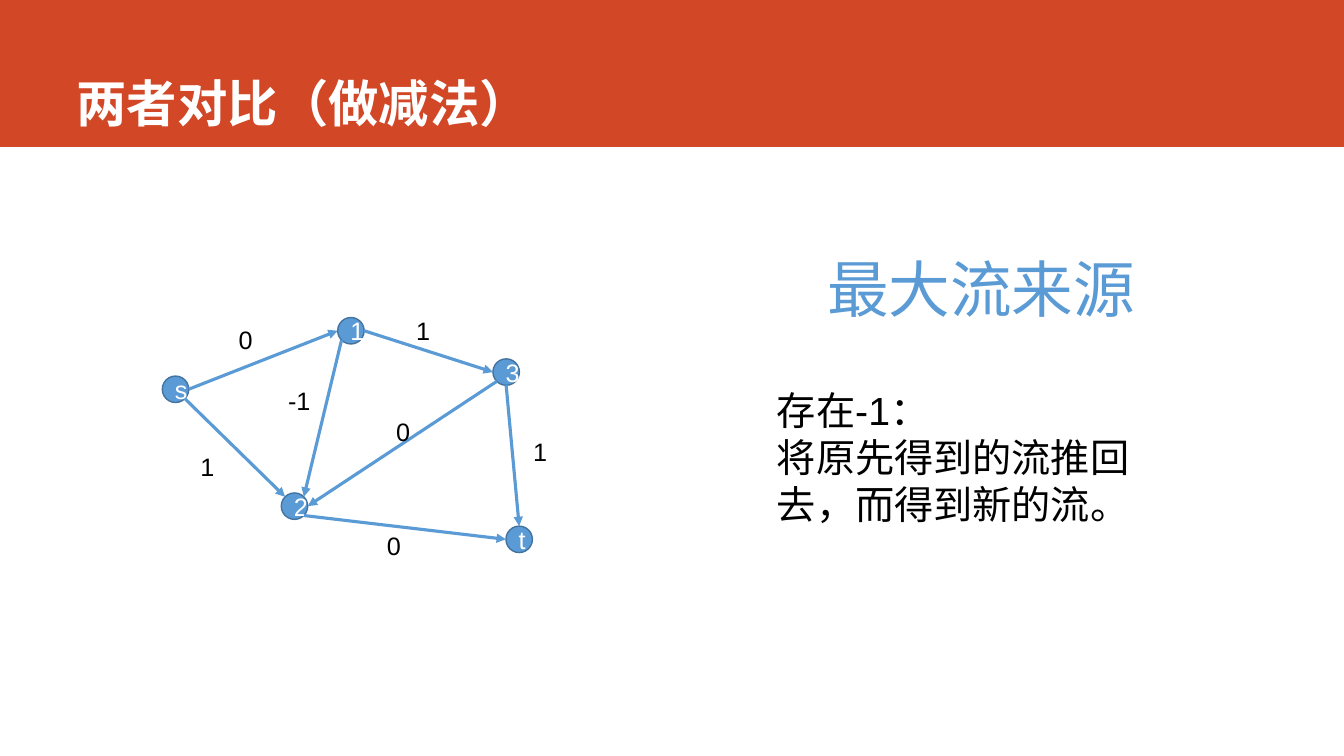
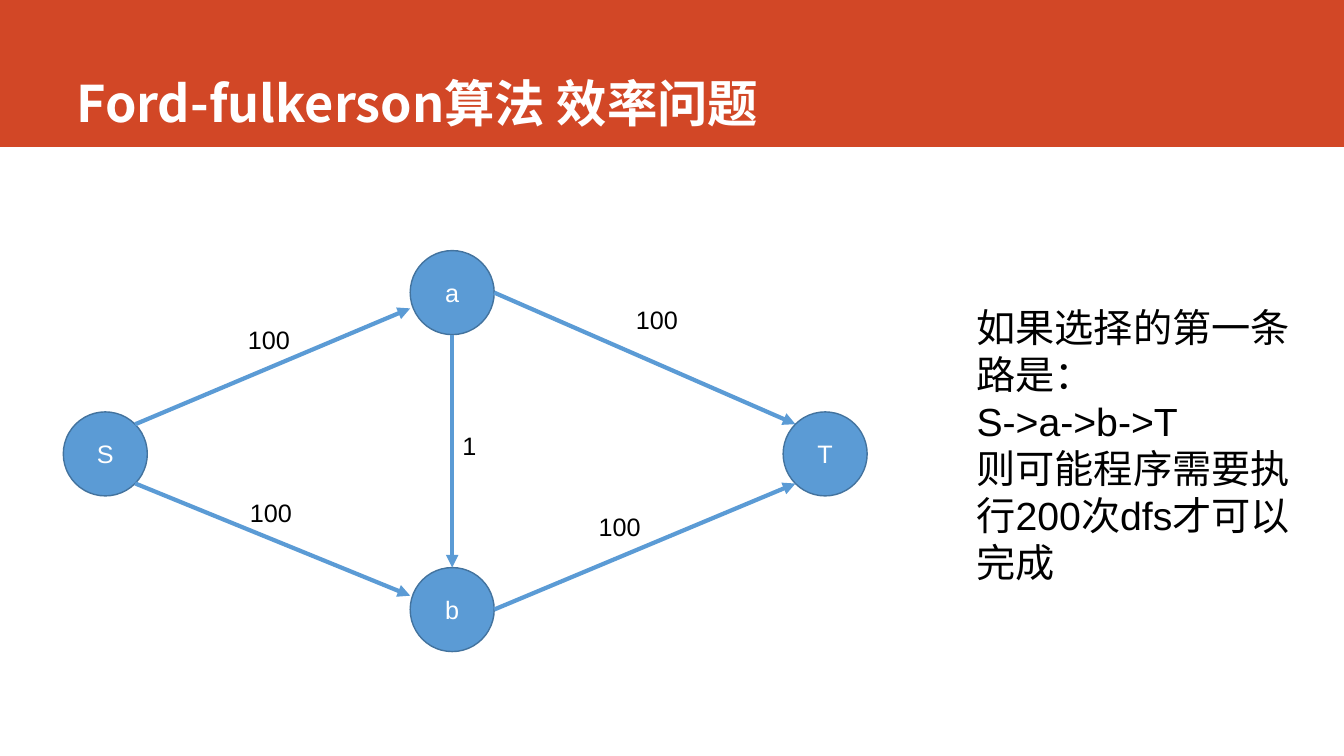
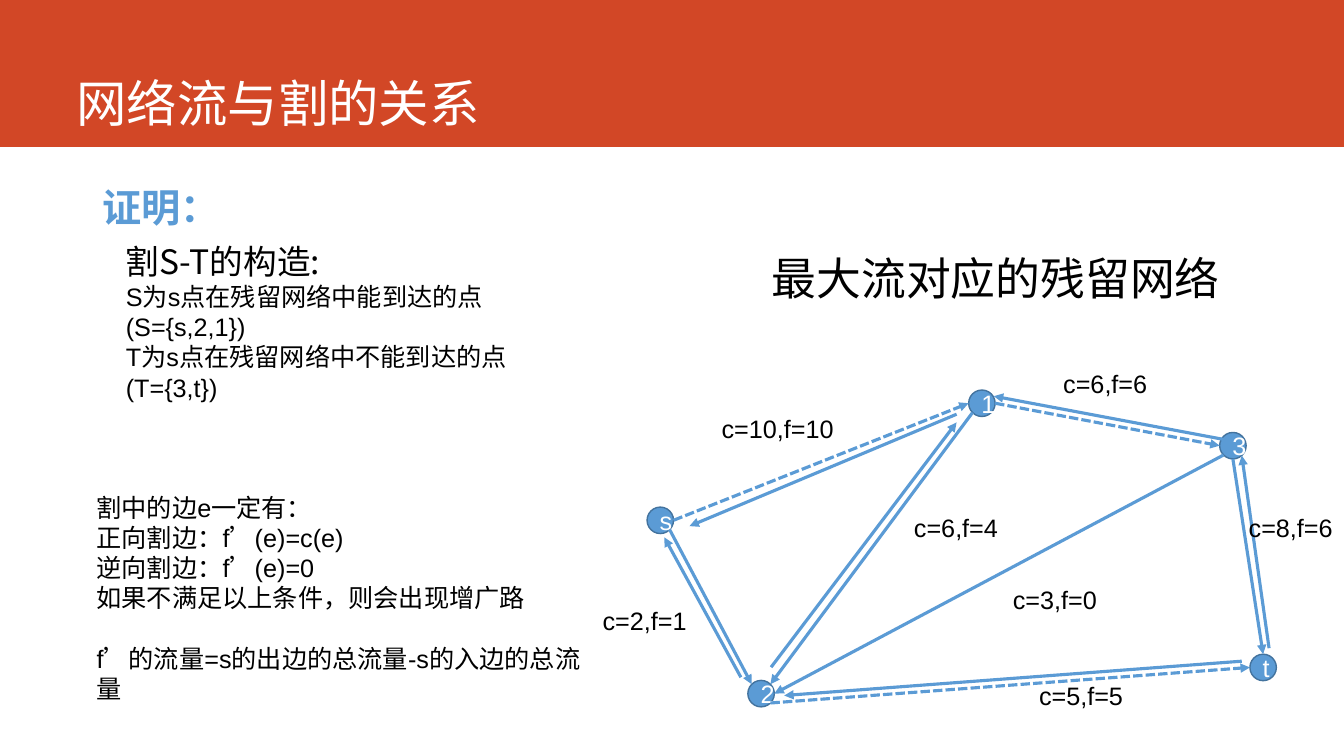
"""Build three slides on maximum flow: path comparison, efficiency and cuts."""
from math import cos, radians, sin

from lxml import etree
from pptx import Presentation
from pptx.dml.color import RGBColor
from pptx.enum.dml import MSO_LINE
from pptx.enum.shapes import MSO_CONNECTOR, MSO_SHAPE
from pptx.enum.text import MSO_ANCHOR, MSO_AUTO_SIZE, PP_ALIGN
from pptx.oxml.ns import qn
from pptx.util import Pt

LEFT, CENTER = PP_ALIGN.LEFT, PP_ALIGN.CENTER
BOTTOM, MIDDLE = MSO_ANCHOR.BOTTOM, MSO_ANCHOR.MIDDLE
NO_FIT, GROW = MSO_AUTO_SIZE.NONE, MSO_AUTO_SIZE.SHAPE_TO_FIT_TEXT
STRAIGHT = MSO_CONNECTOR.STRAIGHT
RECTANGLE, OVAL = MSO_SHAPE.RECTANGLE, MSO_SHAPE.OVAL
DASH = MSO_LINE.SQUARE_DOT

COLORS = {
    "band": "D24726",
    "node": "5B9BD5",
    "outline": "43739E",
    "light": "FFFFFF",
    "text": "000000",
}
LATIN_FONT, CHINESE_FONT = "Arial", "Noto Sans CJK SC"
ANGLES = {"E": 0, "SE": 45, "S": 90, "SW": 135, "W": 180, "NW": 225, "N": 270, "NE": 315}
LABEL_HEIGHT = 29


def write(frame, text, size=18, color="text", font=LATIN_FONT, bold=False, align=LEFT, before=0):
    para = frame.add_paragraph() if frame.text else frame.paragraphs[0]
    para.alignment = align
    para.space_before = Pt(before)
    span = para.add_run()
    span.text = text
    span.font.size = Pt(size)
    span.font.bold = bold
    span.font.color.rgb = RGBColor.from_string(COLORS[color])
    span.font.name = font
    etree.SubElement(span.font._element, qn("a:ea"), typeface=CHINESE_FONT)


def draw_arrow(page, start, end, width, dashed=False):
    arrow = page.shapes.add_connector(STRAIGHT, *[Pt(value) for value in (*start, *end)])
    arrow.line.color.rgb = RGBColor.from_string(COLORS["node"])
    arrow.line.width = Pt(width)
    if dashed:
        arrow.line.dash_style = DASH
    etree.SubElement(arrow.line._get_or_add_ln(), qn("a:tailEnd"), type="triangle")
    etree.SubElement(arrow.element.spPr, qn("a:effectLst"))


FLOW_EDGES = [
    ("s", "E", "1", "W"),
    ("s", "SE", "2", "NW"),
    ("2", "SE", "t", "W"),
    ("1", "E", "3", "W"),
    ("3", "S", "t", "N"),
    ("1", "SW", "2", "NE"),
    ("3", "SW", "2", "E"),
]

slides = [
    {
        "title": "两者对比（做减法）",
        "bold": True,
        "diameter": 18.9,
        "line": 2.25,
        "nodes": {"s": (115.9, 268.6), "1": (241.2, 226.8), "2": (200.9, 352.1),
                  "t": (361.4, 375.8), "3": (352.1, 256.3)},
        "edges": FLOW_EDGES,
        "dashed": [],
        "arrows": [],
        "label_width": 75,
        "labels": [("0", 163.4, 228.2), ("1", 290.2, 221.8), ("-1", 198.7, 271.4),
                   ("0", 275.8, 293.8), ("1", 373.7, 308.2), ("0", 269.3, 375.1),
                   ("1", 136.1, 319)],
        "notes": [
            ((535, 175.7, 331.9, 60.5),
             [("最大流来源", {"size": 44, "color": "node", "align": CENTER})]),
            ((547.9, 272.2, 290.9, 108.7),
             [("存在-1：", {"size": 28}),
              ("将原先得到的流推回去，而得到新的流。", {"size": 28})]),
        ],
    },
    {
        "title": "Ford-fulkerson算法 效率问题",
        "bold": True,
        "diameter": 60,
        "line": 3,
        "nodes": {"S": (45.2, 294.2), "T": (559.4, 294.2), "a": (293, 179), "b": (293, 405.4)},
        "edges": [("a", "E", "T", "NW"), ("a", "S", "b", "N"), ("b", "E", "T", "SW")],
        "dashed": [],
        "arrows": [((96.5, 303.1), (293, 220.3)), ((96.5, 345.3), (293, 425.5))],
        "label_width": 64,
        "labels": [("100", 169.9, 228.2), ("100", 420.5, 361.4), ("100", 171.4, 351.4),
                   ("100", 447.1, 213.8), ("1", 323.3, 303.8)],
        "notes": [
            ((690.5, 213.1, 256.3, 211),
             [("如果选择的第一条路是：", {"size": 28}),
              ("S->a->b->T", {"size": 28}),
              ("则可能程序需要执行200次dfs才可以完成", {"size": 28})]),
        ],
    },
    {
        "title": "网络流与割的关系",
        "bold": False,
        "diameter": 18.9,
        "line": 2.25,
        "nodes": {"s": (462.2, 362.2), "1": (691.9, 278.6), "2": (534.2, 486),
                  "t": (892.8, 467.3), "3": (871.2, 308.9)},
        "edges": FLOW_EDGES,
        "dashed": ["s1", "2t", "13"],
        "arrows": [
            ((683.3, 295.9), (492.5, 375.8)),
            ((550.8, 476.6), (683.3, 301.7)),
            ((529.2, 483.8), (474.5, 383.8)),
            ((906.5, 463), (887, 325.4)),
            ((874.1, 313.9), (709.9, 283)),
            ((887, 472.3), (560.2, 496.8)),
        ],
        "label_width": 75,
        "labels": [("c=10,f=10", 508.3, 291.6), ("c=6,f=6", 752.4, 259.2),
                   ("c=6,f=4", 645.8, 362.2), ("c=3,f=0", 716.4, 414),
                   ("c=8,f=6", 884.9, 362.2), ("c=5,f=5", 735.1, 482.4),
                   ("c=2,f=1", 423.4, 429.1)],
        "notes": [
            ((66.2, 127.4, 100, 41),
             [("证明：", {"size": 28, "color": "node", "font": CHINESE_FONT, "bold": True})]),
            ((517, 175.7, 388.8, 46),
             [("最大流对应的残留网络", {"size": 32, "align": CENTER})]),
            ((82.8, 168.5, 426.2, 123.8),
             [("割S-T的构造:", {"size": 24, "font": CHINESE_FONT}),
              ("S为s点在残留网络中能到达的点", {}),
              ("(S={s,2,1})", {}),
              ("T为s点在残留网络中不能到达的点", {}),
              ("(T={3,t})", {})]),
            ((61.9, 347.8, 370.1, 138.2),
             [("割中的边e一定有：", {}),
              ("正向割边：f’(e)=c(e)", {}),
              ("逆向割边：f’(e)=0", {}),
              ("如果不满足以上条件，则会出现增广路", {}),
              ("f’的流量=s的出边的总流量-s的入边的总流量", {"before": 21.5})]),
        ],
    },
]

deck = Presentation()
deck.slide_width, deck.slide_height = Pt(960), Pt(540)
layout = deck.slide_layouts[5]
pages = [deck.slides.add_slide(layout) for _ in slides]

band = pages[0].shapes.add_shape(RECTANGLE, 0, 0, deck.slide_width, Pt(105))
band.shadow.inherit = False
band.fill.solid()
band.fill.fore_color.rgb = RGBColor.from_string(COLORS["band"])
band.line.fill.background()
layout.shapes.element.insert(2, band.element)

for page, slide in zip(pages, slides):
    title = page.shapes.title
    title.left, title.top, title.width, title.height = Pt(47.5), Pt(0), Pt(846.7), Pt(95)
    title.text_frame.vertical_anchor = BOTTOM
    title.text_frame.auto_size = NO_FIT
    title.text_frame.margin_bottom = Pt(0)
    write(title.text_frame, slide["title"], size=36, color="light",
          font=CHINESE_FONT, bold=slide["bold"])

    diameter = slide["diameter"]
    radius = diameter / 2
    for name, (left, top) in slide["nodes"].items():
        node = page.shapes.add_shape(OVAL, Pt(left), Pt(top), Pt(diameter), Pt(diameter))
        node.shadow.inherit = False
        node.fill.solid()
        node.fill.fore_color.rgb = RGBColor.from_string(COLORS["node"])
        node.line.color.rgb = RGBColor.from_string(COLORS["outline"])
        node.line.width = Pt(1)
        node.text_frame.vertical_anchor = MIDDLE
        write(node.text_frame, name, color="light", align=CENTER)

    for source, source_side, target, target_side in slide["edges"]:
        ends = []
        for name, side in ((source, source_side), (target, target_side)):
            left, top = slide["nodes"][name]
            angle = radians(ANGLES[side])
            ends.append((left + radius * (1 + cos(angle)), top + radius * (1 + sin(angle))))
        draw_arrow(page, *ends, slide["line"], dashed=source + target in slide["dashed"])
    for start, end in slide["arrows"]:
        draw_arrow(page, start, end, slide["line"])

    labels = [
        ((left, top, max(slide["label_width"], 11 * len(text)), LABEL_HEIGHT), [(text, {})])
        for text, left, top in slide["labels"]
    ]
    for place, lines in labels + slide["notes"]:
        box = page.shapes.add_textbox(*[Pt(value) for value in place])
        box.text_frame.word_wrap = True
        box.text_frame.auto_size = GROW
        for text, style in lines:
            write(box.text_frame, text, **style)

deck.save("out.pptx")
